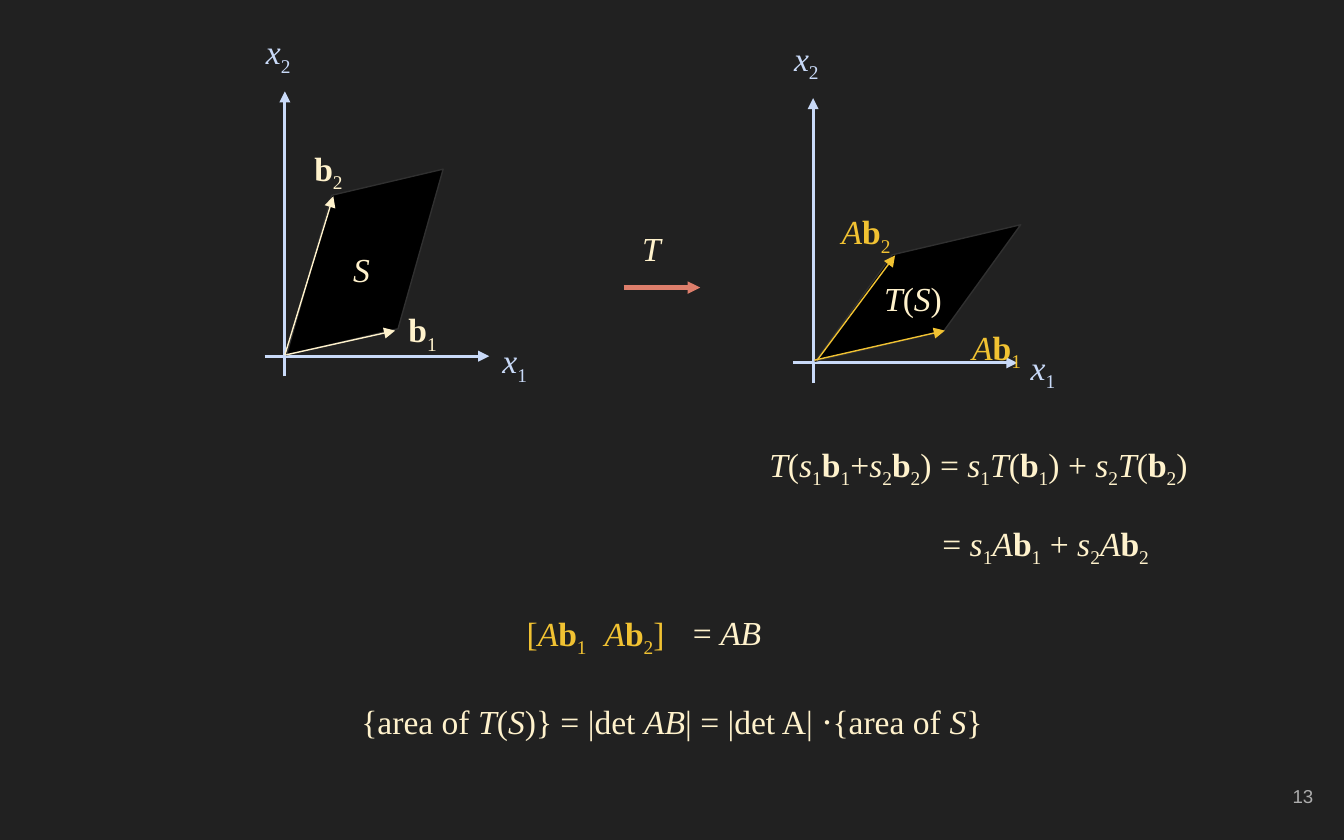
from dataclasses import dataclass
from typing import NamedTuple

from lxml import etree
from pptx import Presentation
from pptx.dml.color import RGBColor
from pptx.enum.shapes import MSO_CONNECTOR, MSO_SHAPE
from pptx.enum.text import MSO_ANCHOR, PP_ALIGN
from pptx.oxml.ns import qn
from pptx.util import Inches, Pt

STRAIGHT = MSO_CONNECTOR.STRAIGHT
PARALLELOGRAM = MSO_SHAPE.PARALLELOGRAM
LEFT, CENTER, RIGHT = PP_ALIGN.LEFT, PP_ALIGN.CENTER, PP_ALIGN.RIGHT
TOP, MIDDLE = MSO_ANCHOR.TOP, MSO_ANCHOR.MIDDLE


@dataclass(frozen=True)
class Theme:
    background: str = "212121"
    axis: str = "C9DAF8"
    cream: str = "FFF2CC"
    gold: str = "F1C232"
    coral: str = "DD7E6B"
    region: str = "000000"
    outline: str = "303030"
    muted: str = "ADADAD"
    math_font: str = "Times New Roman"
    number_font: str = "Arial"
    math_size: int = 18
    number_size: int = 10
    thin: float = 0.75
    medium: float = 1.5
    thick: float = 2.25


class Box(NamedTuple):
    left: float
    top: float
    width: float
    height: float

    def point(self, across, down):
        return self.left + across, self.top + down


THEME = Theme()
ROW = 0.55
LABEL = 0.5
TILT = 346.8


def color(value):
    return RGBColor.from_string(value)


def add_math(para, markup):
    marks = {"/": "italic", "*": "bold", "_": "sub"}
    active, pending = set(), ""
    for letter in markup + "/":
        if letter not in marks:
            pending += letter
            continue
        if pending:
            span = para.add_run()
            span.text = pending
            if "italic" in active:
                span.font.italic = True
            if "bold" in active:
                span.font.bold = True
            if "sub" in active:
                span.font._element.set("baseline", "-25000")
            pending = ""
        active ^= {marks[letter]}


def add_text(page, box, markup, ink, align=LEFT, anchor=TOP,
             font=THEME.math_font, size=THEME.math_size, tab=None):
    frame = page.shapes.add_textbox(*map(Inches, box)).text_frame
    frame.word_wrap = True
    frame.vertical_anchor = anchor
    frame.margin_left = frame.margin_right = Inches(0.1)
    frame.margin_top = frame.margin_bottom = Inches(0.1)
    para = frame.paragraphs[0]
    para.alignment = align
    para.line_spacing = 1.15
    if tab:
        stops = etree.SubElement(para._p.get_or_add_pPr(), qn("a:tabLst"))
        etree.SubElement(stops, qn("a:tab"), pos=str(Inches(tab)), algn="l")
    para.font.name = font
    para.font.size = Pt(size)
    para.font.color.rgb = color(ink)
    add_math(para, markup)


def add_arrow(page, start, end, ink, weight):
    arrow = page.shapes.add_connector(STRAIGHT, *map(Inches, (*start, *end)))
    arrow.line.color.rgb = color(ink)
    arrow.line.width = Pt(weight)
    etree.SubElement(arrow.line._get_or_add_ln(), qn("a:tailEnd"), type="triangle")
    etree.SubElement(arrow._element.spPr, qn("a:effectLst"))


def add_axes(page, box):
    right, bottom = box.width, box.height
    add_arrow(page, box.point(0, bottom - 0.15), box.point(right, bottom - 0.15),
              THEME.axis, THEME.medium)
    add_arrow(page, box.point(0.15, bottom), box.point(0.15, 0),
              THEME.axis, THEME.medium)
    for markup, across, down in (("/x/_1_", right, 1.7), ("/x/_2_", -0.09, -0.6)):
        add_text(page, Box(*box.point(across, down), LABEL, ROW), markup, THEME.axis)


def add_plane(page, box, region, slant, name, vectors, ink, align, label_width):
    add_axes(page, box)
    across, down, width, height = region
    area = page.shapes.add_shape(
        PARALLELOGRAM, *map(Inches, (*box.point(across, down), width, height)))
    area.adjustments[0] = slant
    area.rotation = TILT
    area.shadow.inherit = False
    area.fill.solid()
    area.fill.fore_color.rgb = color(THEME.region)
    area.line.color.rgb = color(THEME.outline)
    area.line.width = Pt(THEME.thin)
    markup, place = name
    add_text(page, Box(*box.point(*place), 0.67, ROW), markup, THEME.cream)
    for markup, place, start, tip in vectors:
        add_text(page, Box(*box.point(*place), label_width, ROW), markup, ink, align)
        add_arrow(page, box.point(*start), box.point(*tip), ink, THEME.thin)


def add_mapping(page, box):
    add_text(page, Box(*box.point(0.04, 0), LABEL, ROW), "/T/", THEME.cream)
    add_arrow(page, box.point(0, box.height), box.point(box.width, box.height),
              THEME.coral, THEME.thick)


def add_equations(page):
    lines = (
        (Box(5.12, 3.15, 4.32, ROW),
         "/T/(/s/_1_*b*_1_+/s/_2_*b*_2_) = /s/_1_/T/(*b*_1_) + /s/_2_/T/(*b*_2_)"),
        (Box(5.62, 3.74, 4.32, ROW), "= /s/_1_/A/*b*_1_ + /s/_2_/A/*b*_2_"),
        (Box(4.94, 4.41, 0.94, ROW), "= /AB/"),
        (Box(2.45, 5.07, 5.1, ROW),
         "{area of /T/(/S/)} = |det /AB/| = |det A| ⋅{area of /S/}"),
    )
    for box, markup in lines:
        add_text(page, box, markup, THEME.cream, CENTER)
    add_text(page, Box(3.82, 4.41, 1.4, ROW), "[/A/*b*_1_\t/A/*b*_2_]",
             THEME.gold, tab=0.58)


def main():
    deck = Presentation()
    deck.slide_width, deck.slide_height = Inches(10), Inches(6.25)
    page = deck.slides.add_slide(deck.slide_layouts[6])
    page.background.fill.solid()
    page.background.fill.fore_color.rgb = color(THEME.background)

    add_plane(page, Box(1.97, 0.68, 1.67, 2.12), (0.02, 0.73, 1.45, 1.08), 0.554,
              ("/S/", (0.56, 1.03)),
              (("*b*_1_", (0.97, 1.47), (0.16, 1.96), (0.97, 1.78)),
               ("*b*_2_", (0.27, 0.27), (0.15, 1.96), (0.51, 0.78))),
              THEME.cream, LEFT, LABEL)
    add_mapping(page, Box(4.64, 1.55, 0.57, 0.59))
    add_plane(page, Box(5.9, 0.73, 1.67, 2.12), (0.07, 1.13, 1.72, 0.64), 1.153,
              ("/T/(/S/)", (0.58, 1.19)),
              (("/A/*b*_1_", (1.18, 1.55), (0.16, 1.95), (1.13, 1.73)),
               ("/A/*b*_2_", (0.21, 0.69), (0.18, 1.95), (0.76, 1.17))),
              THEME.gold, CENTER, 0.67)
    add_equations(page)
    add_text(page, Box(9.27, 5.67, 0.6, 0.48), "13", THEME.muted, RIGHT, MIDDLE,
             THEME.number_font, THEME.number_size)
    deck.save("out.pptx")


if __name__ == "__main__":
    main()
